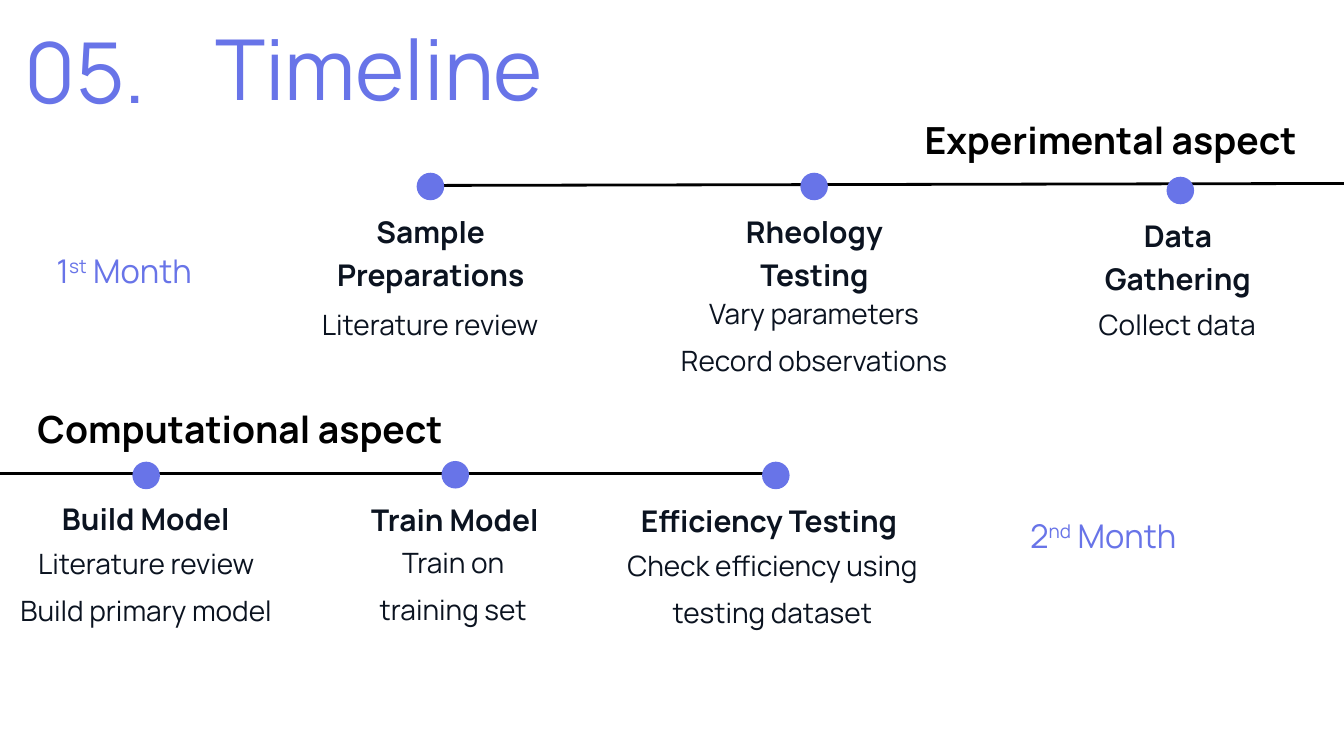
"""Build the project timeline slide with its experimental and computational milestones."""
from dataclasses import dataclass

from lxml.etree import SubElement
from pptx import Presentation
from pptx.dml.color import RGBColor
from pptx.enum.shapes import MSO_CONNECTOR, MSO_SHAPE
from pptx.enum.text import MSO_ANCHOR, MSO_AUTO_SIZE, PP_ALIGN
from pptx.oxml.ns import qn
from pptx.util import Inches, Pt


@dataclass(frozen=True)
class Theme:
    font: str = "Manrope"
    accent: RGBColor = RGBColor(0x68, 0x74, 0xE8)
    ink: RGBColor = RGBColor(0x0B, 0x13, 0x20)
    black: RGBColor = RGBColor(0, 0, 0)
    title_size: int = 90
    section_size: int = 40
    month_size: int = 35
    heading_size: int = 32
    detail_size: int = 30
    line_width: int = 3


theme = Theme()


def format_text(shape, size, color, bold=False, alignment=PP_ALIGN.CENTER, spacing=1.0, inset=0):
    text_frame = shape.text_frame
    text_frame.word_wrap = True
    text_frame.auto_size = MSO_AUTO_SIZE.NONE
    text_frame.vertical_anchor = MSO_ANCHOR.TOP
    text_frame.margin_left = text_frame.margin_right = Inches(inset)
    text_frame.margin_top = text_frame.margin_bottom = Inches(inset)
    for paragraph in text_frame.paragraphs:
        paragraph.alignment = alignment
        paragraph.line_spacing = spacing
        paragraph.space_before = Pt(0)
        for run in paragraph.runs:
            run.font.name = theme.font
            run.font.size = Pt(size)
            run.font.bold = bold
            run.font.color.rgb = color


def add_text(slide, box, text, *style, **options):
    shape = slide.shapes.add_textbox(*map(Inches, box))
    shape.text_frame.text = text
    format_text(shape, *style, **options)
    return shape


presentation = Presentation()
presentation.slide_width = Inches(20)
presentation.slide_height = Inches(11.25)
slide = presentation.slides.add_slide(presentation.slide_layouts[5])

title = slide.shapes.title
title.left, title.top, title.width, title.height = map(Inches, (-0.28, -0.05, 8.36, 1.52))
title.text_frame.text = "Timeline"
format_text(title, theme.title_size, theme.accent, alignment=PP_ALIGN.RIGHT, spacing=1.2)
add_text(slide, (-0.19, -0.31, 2.92, 2.12), "05.", theme.title_size, theme.accent, spacing=1.4)

for start_x, start_y, end_x, end_y in ((6.24, 2.76, 20, 2.73), (0, 7.05, 11.66, 7.05)):
    line = slide.shapes.add_connector(
        MSO_CONNECTOR.STRAIGHT, Inches(start_x), Inches(start_y), Inches(end_x), Inches(end_y)
    )
    line.line.color.rgb = theme.black
    line.line.width = Pt(theme.line_width)
    SubElement(line._element.spPr, qn("a:effectLst"))

sections = (
    ("Experimental aspect", (13.66, 1.64, 6.56, 0.88)),
    ("Computational aspect", (0.46, 5.94, 6.8, 0.88)),
)
for text, box in sections:
    add_text(slide, box, text, theme.section_size, theme.black, bold=True,
             alignment=PP_ALIGN.LEFT, inset=0.1)

milestones = (
    ((6.2, 2.57), "Sample Preparations", (4.86, 3.07, 3.1, 1.29),
     "Literature review", (4.56, 4.38, 3.68, 0.71)),
    ((11.91, 2.57), "Rheology Testing", (10.57, 3.07, 3.1, 1.29),
     "Vary parameters\nRecord observations", (9.85, 4.21, 4.53, 1.41)),
    ((17.36, 2.63), "Data Gathering", (15.98, 3.13, 3.1, 1.29),
     "Collect data", (16.05, 4.38, 2.94, 0.71)),
    ((1.97, 6.87), "Build Model", (0.33, 7.34, 3.68, 0.65),
     "Literature review\nBuild primary model", (0, 7.93, 4.35, 1.41)),
    ((6.57, 6.86), "Train Model", (4.93, 7.36, 3.68, 0.65),
     "Train on training set", (5.27, 7.92, 2.95, 1.41)),
    ((11.34, 6.87), "Efficiency Testing", (9.39, 7.38, 4.11, 0.65),
     "Check efficiency using testing dataset", (9.32, 7.96, 4.35, 1.41)),
)
dot_size = Inches(0.41)
for (left, top), heading, heading_box, detail, detail_box in milestones:
    dot = slide.shapes.add_shape(MSO_SHAPE.OVAL, Inches(left), Inches(top), dot_size, dot_size)
    dot.shadow.inherit = False
    dot.fill.solid()
    dot.fill.fore_color.rgb = theme.accent
    dot.line.fill.background()
    add_text(slide, heading_box, heading, theme.heading_size, theme.ink, bold=True, spacing=1.2)
    add_text(slide, detail_box, detail, theme.detail_size, theme.ink, spacing=1.4)

months = (("1", "st", (0.74, 3.63, 2.44, 0.79)), ("2", "nd", (15.23, 7.57, 2.77, 0.79)))
for number, suffix, box in months:
    month = slide.shapes.add_textbox(*map(Inches, box))
    paragraph = month.text_frame.paragraphs[0]
    for text in (number, suffix, " Month"):
        paragraph.add_run().text = text
    format_text(month, theme.month_size, theme.accent, alignment=PP_ALIGN.LEFT, inset=0.1)
    paragraph.runs[1].font._element.set("baseline", "30000")

presentation.save("out.pptx")
